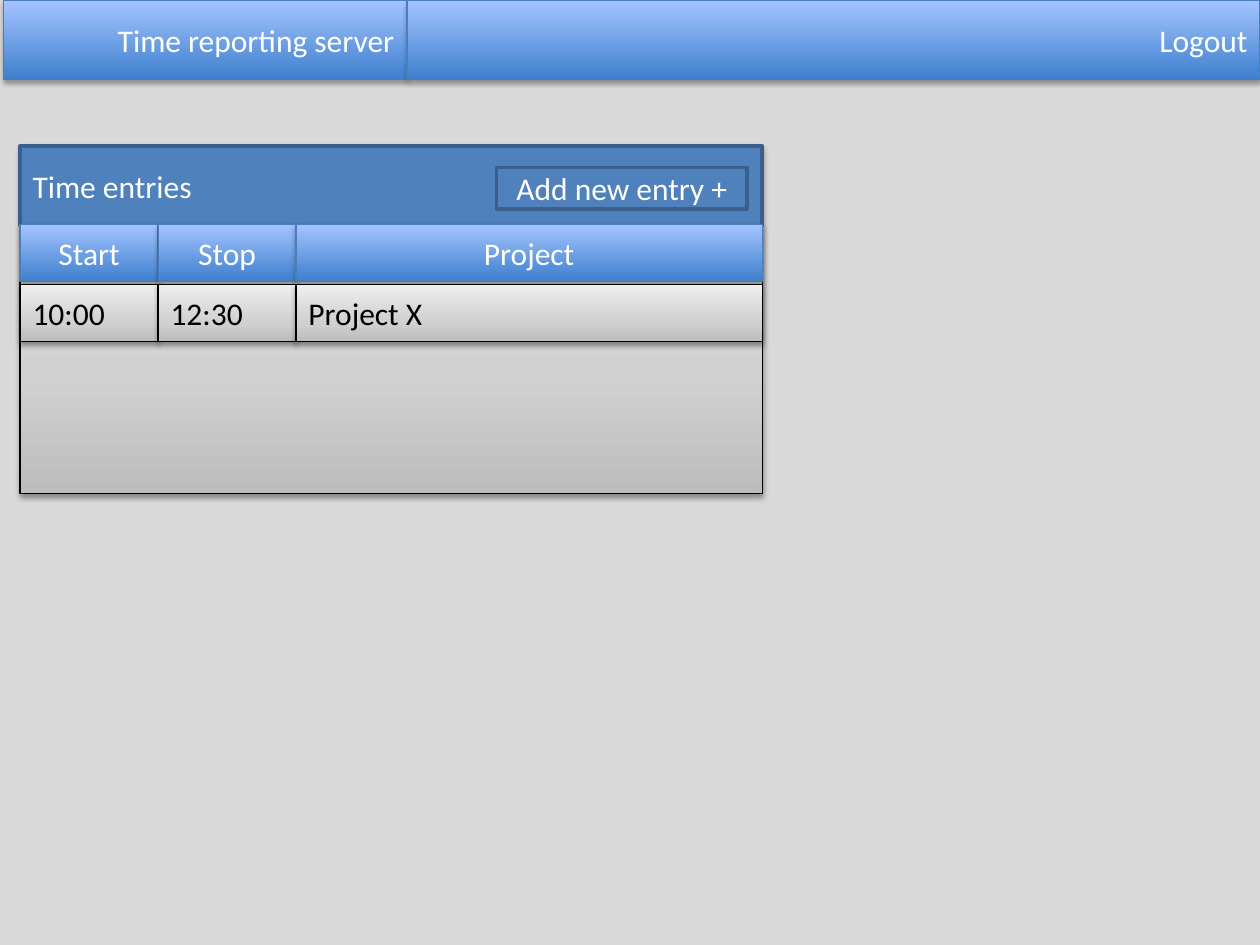
from dataclasses import dataclass
from itertools import accumulate

from lxml import etree
from pptx import Presentation
from pptx.dml.color import RGBColor
from pptx.enum import shapes, text
from pptx.oxml import ns
from pptx.util import Inches, Pt


@dataclass(frozen=True)
class Style:
    """Fill stops, line, shadow (alpha, distance) and font colour of a box."""
    stops: tuple
    line: str
    width: float
    font: str
    shadow: tuple = ()


@dataclass(frozen=True)
class Theme:
    """Colours and type of the slide."""
    page: str = "D9D9D9"
    face: str = "Calibri"
    size: int = 18
    blue: Style = Style(((0, "3F80CE"), (100, "A4C4FF")), "4B7EBC", 0.75, "FFFFFF", (35, 1.8))
    grey: Style = Style(((0, "BDBDBD"), (35, "D1D1D1"), (100, "EEEEEE")),
                        "000000", 0.75, "000000", (38, 1.6))
    flat: Style = Style(((0, "4F81BD"),), "3A5F8C", 2, "FFFFFF")


THEME = Theme()
LEFT, CENTER, RIGHT = text.PP_ALIGN.LEFT, text.PP_ALIGN.CENTER, text.PP_ALIGN.RIGHT
BAR_H, ROW_H = 0.63, 0.45


def add_child(parent, tag, **attrs):
    """Append a DrawingML element and return it."""
    return etree.SubElement(parent, ns.qn(f"a:{tag}"), {k: str(v) for k, v in attrs.items()})


def paint_gradient(sp, stops):
    """Fill a shape with a vertical gradient running from bottom to top."""
    sp.fill.gradient()
    sp.fill.gradient_angle = 90
    gs_list = sp._element.spPr.find(".//" + ns.qn("a:gsLst"))
    for old in list(gs_list):
        gs_list.remove(old)
    for pos, color in stops:
        add_child(add_child(gs_list, "gs", pos=pos * 1000), "srgbClr", val=color)


def cast_shadow(sp, alpha, distance):
    """Give a shape a soft black shadow straight below it."""
    effects = sp._element.spPr.find(ns.qn("a:effectLst"))
    shadow = add_child(effects, "outerShdw", blurRad=Pt(3.1), dist=Pt(distance),
                       dir=5400000, rotWithShape=0)
    add_child(add_child(shadow, "srgbClr", val="000000"), "alpha", val=alpha * 1000)


def add_box(parent, box, style, label="", align=LEFT):
    """Add one styled rectangle with an optional label."""
    sp = parent.add_shape(shapes.MSO_SHAPE.RECTANGLE, *map(Inches, box))
    sp.shadow.inherit = False
    if len(style.stops) > 1:
        paint_gradient(sp, style.stops)
    else:
        sp.fill.solid()
        sp.fill.fore_color.rgb = RGBColor.from_string(style.stops[0][1])
    sp.line.color.rgb = RGBColor.from_string(style.line)
    sp.line.width = Pt(style.width)
    if style.shadow:
        cast_shadow(sp, *style.shadow)
    if label:
        tf = sp.text_frame
        tf.word_wrap = True
        tf.vertical_anchor = text.MSO_ANCHOR.MIDDLE
        p = tf.paragraphs[0]
        p.alignment = align
        r = p.add_run()
        r.text = label
        r.font.name, r.font.size = THEME.face, Pt(THEME.size)
        r.font.color.rgb = RGBColor.from_string(style.font)


def add_row(parent, box, widths, labels, style, align):
    """Split a box into adjoining columns of labelled cells."""
    left, top, _, height = box
    for x, width, label in zip(accumulate(widths, initial=left), widths, labels):
        add_box(parent, (x, top, width, height), style, label, align)


def add_top_bar(parent, box):
    """Place the title and logout cells across the top."""
    title_w = 3.2
    add_row(parent, box, (title_w, box[2] - title_w),
            ("Time reporting server", "Logout"), THEME.blue, RIGHT)


def add_entries_panel(parent, box):
    """Place the time entries panel: heading, columns, entry and button."""
    group = parent.add_group_shape().shapes
    left, top, width, _ = box
    time_w = 1.095
    widths = (time_w, time_w, width - 2 * time_w)
    add_box(group, box, THEME.grey)
    add_box(group, (left, top, width, BAR_H), THEME.flat, "Time entries")
    head_top = top + BAR_H - 0.01
    add_row(group, (left, head_top, width, ROW_H), widths,
            ("Start", "Stop", "Project"), THEME.blue, CENTER)
    add_row(group, (left, head_top + ROW_H + 0.03, width, ROW_H), widths,
            ("10:00", "12:30", "Project X"), THEME.grey, LEFT)
    button_w, button_h = 1.99, 0.33
    add_box(group, (left + width - button_w - 0.12, top + 0.17, button_w, button_h),
            THEME.flat, "Add new entry +", CENTER)


def main():
    """Build and save the slide."""
    prs = Presentation()
    prs.slide_width, prs.slide_height = Inches(10), Inches(7.5)
    s = prs.slides.add_slide(prs.slide_layouts[6])
    s.background.fill.solid()
    s.background.fill.fore_color.rgb = RGBColor.from_string(THEME.page)
    add_top_bar(s.shapes, (0.03, 0, 9.97, BAR_H))
    add_entries_panel(s.shapes, (0.16, 1.16, 5.89, 2.76))
    prs.save("out.pptx")


if __name__ == "__main__":
    main()
